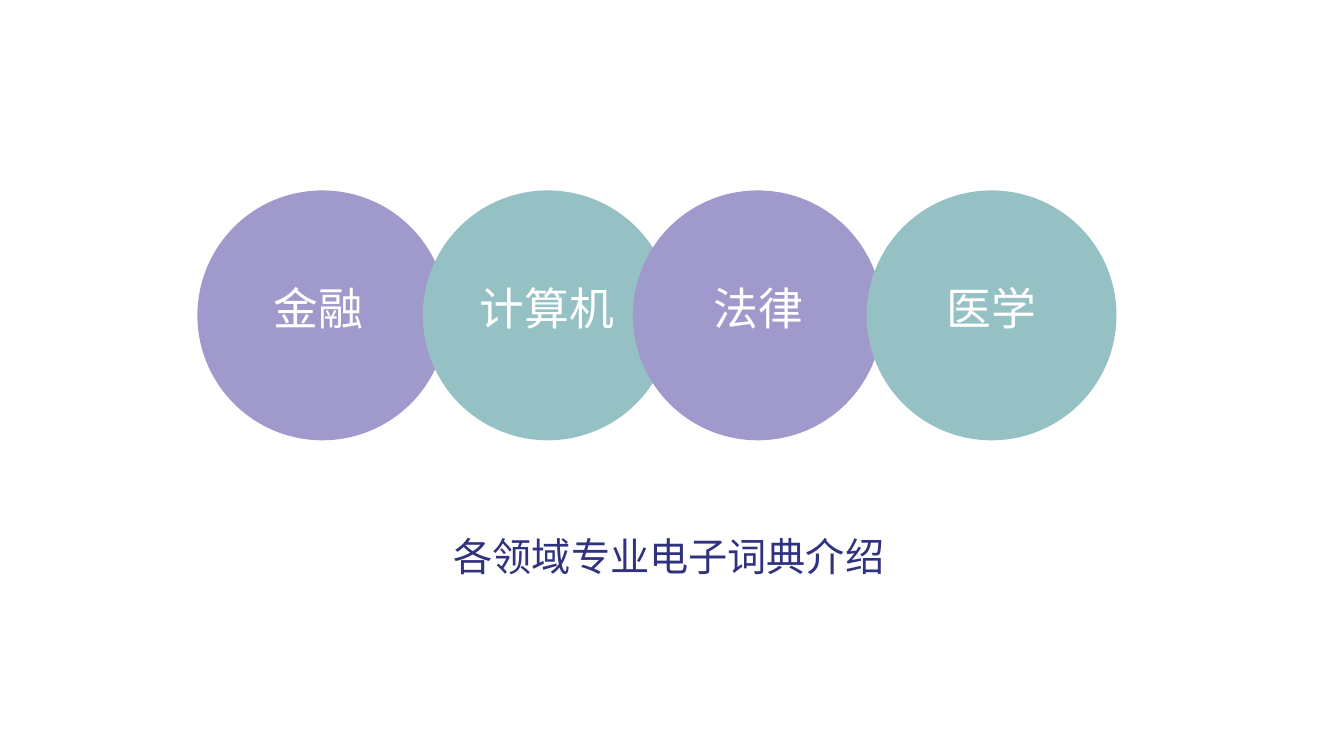
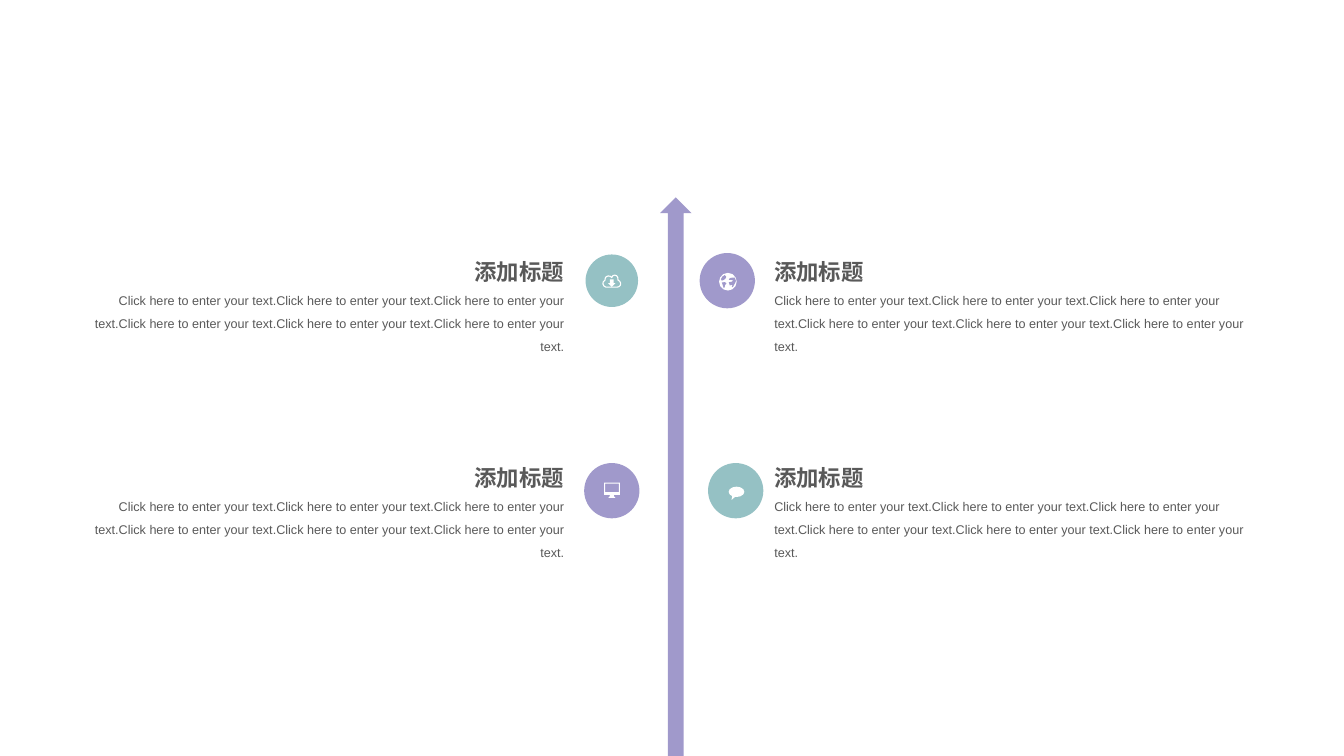
import dataclasses

import lxml.etree
import pptx
import pptx.dml.color
import pptx.enum.shapes
import pptx.enum.text
import pptx.oxml.ns
import pptx.util

Pt = pptx.util.Pt
SHAPE = pptx.enum.shapes.MSO_SHAPE
ALIGN = pptx.enum.text.PP_ALIGN


@dataclasses.dataclass(frozen=True)
class Theme:
    purple: str = "A099CB"
    teal: str = "95C1C4"
    navy: str = "31327F"
    gray: str = "595959"
    white: str = "FFFFFF"
    cjk: str = "Noto Sans CJK SC"
    heading_font: str = "Calibri"
    body_font: str = "Arial"
    label_size: float = 32
    caption_size: float = 28
    heading_size: float = 16
    body_size: float = 9


class Deck:
    def __init__(self, theme):
        self.t = theme
        self.prs = pptx.Presentation()
        self.prs.slide_width = Pt(960)
        self.prs.slide_height = Pt(540)
        self.s = None

    def slide(self):
        self.s = self.prs.slides.add_slide(self.prs.slide_layouts[6])

    def paint(self, sp, fill, line=None):
        sp.shadow.inherit = False
        if fill:
            sp.fill.solid()
            sp.fill.fore_color.rgb = pptx.dml.color.RGBColor.from_string(fill)
        else:
            sp.fill.background()
        if line:
            sp.line.color.rgb = pptx.dml.color.RGBColor.from_string(line)
            sp.line.width = Pt(0.8)
        else:
            sp.line.fill.background()

    def shape(self, kind, x, y, w, h, fill):
        sp = self.s.shapes.add_shape(kind, Pt(x), Pt(y), Pt(w), Pt(h))
        self.paint(sp, fill)
        return sp

    def disc(self, cx, cy, d, fill):
        self.shape(SHAPE.OVAL, cx - d / 2, cy - d / 2, d, d, fill)

    def outline(self, cx, cy, contours, fill, line=None):
        fb = None
        for contour in contours:
            points = [(x * 100, y * 100) for x, y in contour]
            if fb is None:
                fb = self.s.shapes.build_freeform(*points[0], scale=Pt(1) / 100)
            else:
                fb.move_to(*points[0])
            fb.add_line_segments(points[1:], close=True)
        self.paint(fb.convert_to_shape(Pt(cx), Pt(cy)), fill, line)

    def text(self, words, x, y, w, h, size, color, font, align=ALIGN.LEFT,
             bold=False, wrap=True, spacing=None):
        tf = self.s.shapes.add_textbox(Pt(x), Pt(y), Pt(w), Pt(h)).text_frame
        tf.word_wrap = wrap
        tf.auto_size = pptx.enum.text.MSO_AUTO_SIZE.SHAPE_TO_FIT_TEXT
        p = tf.paragraphs[0]
        p.text = words
        p.alignment = align
        if spacing:
            p.line_spacing = spacing
        p.font.size = Pt(size)
        p.font.bold = bold
        p.font.name = font
        p.font.color.rgb = pptx.dml.color.RGBColor.from_string(color)
        qn = pptx.oxml.ns.qn
        props = p._p.find(qn("a:pPr")).find(qn("a:defRPr"))
        lxml.etree.SubElement(props, qn("a:ea")).set("typeface", self.t.cjk)

    def entry(self, x, y, align):
        t = self.t
        width, heading_width = 357, 80
        heading_x = x + width - heading_width if align == ALIGN.RIGHT else x
        self.text("添加标题", heading_x, y, heading_width, 26.5, t.heading_size,
                  t.gray, t.heading_font, align, bold=True, wrap=False)
        self.text("Click here to enter your text." * 6, x, y + 19.5, width, 56,
                  t.body_size, t.gray, t.body_font, align, spacing=1.5)

    def cloud_icon(self, cx, cy):
        cloud = [(-6.3, 2.3), (-6.1, 0.9), (-4.8, -0.4), (-4.6, -1.8),
                 (-3.9, -2.9), (-2.5, -3.4), (-1, -3.1), (0, -2.2),
                 (0.6, -3.4), (2, -4), (3.4, -3.6), (4.3, -2.4),
                 (4.5, -0.4), (5.8, 0.5), (6.4, 2), (6.1, 3.4),
                 (5.1, 4.3), (3.8, 4.6), (-4.2, 4.6), (-5.6, 3.8)]
        self.outline(cx, cy, [cloud], None, self.t.white)
        self.shape(SHAPE.DOWN_ARROW, cx - 2.6, cy - 1, 5.2, 5.4, self.t.white)

    def globe_icon(self, cx, cy):
        cx, cy = cx + 0.4, cy + 0.7
        lands = [
            [(-4.9, -1.8), (-3.9, -3.6), (-2.2, -4.7), (-1.2, -3.6),
             (-1.4, -2.5), (-2.9, -1.2), (-4.3, -0.7)],
            [(-4.3, 0.5), (-2, 0.4), (-1, 1.2), (-2, 2.5), (-2.3, 4),
             (-2.9, 4.7), (-3.6, 2.5)],
            [(0.7, 0.4), (3, 0), (3.8, -1), (2.5, -1.2), (0.7, -1.2),
             (1.4, -2.5), (3.5, -2.9), (5, -2.9), (5.8, -0.4), (5.4, 0.5),
             (3.6, 4), (2.9, 3.6), (3.4, 2.2), (1.4, 2.7)],
        ]
        self.disc(cx, cy, 12.6, self.t.white)
        self.outline(cx, cy, lands, self.t.purple)

    def monitor_icon(self, cx, cy):
        frame = [(-5.5, -5.7), (5.7, -5.7), (5.7, 2.9), (-5.5, 2.9)]
        screen = [(-4.8, -5), (-4.8, 1), (5, 1), (5, -5)]
        stand = [(-1.3, 2.9), (1.5, 2.9), (1.7, 4.2), (2.6, 5.1),
                 (-2.4, 5.1), (-1.5, 4.2)]
        self.outline(cx, cy, [frame, screen], self.t.white)
        self.outline(cx, cy, [stand], self.t.white)

    def speech_icon(self, cx, cy):
        sp = self.shape(SHAPE.OVAL_CALLOUT, cx - 5, cy - 2.9, 11.2, 7.4,
                        self.t.white)
        sp.adjustments[0], sp.adjustments[1] = -0.32, 0.79


def fields_slide(deck):
    t = deck.t
    deck.slide()
    fields = [("金融", 141, 159), ("计算机", 302, 322),
              ("法律", 452, 473), ("医学", 619, 639.5)]
    for i, (name, x, label_x) in enumerate(fields):
        deck.shape(SHAPE.OVAL, x, 136, 178.5, 178.5, (t.purple, t.teal)[i % 2])
        deck.text(name, label_x, 197, 137.5, 46, t.label_size, t.white, t.cjk,
                  ALIGN.CENTER)
    deck.text("各领域专业电子词典介绍", 121, 377, 713.5, 41, t.caption_size,
              t.navy, t.cjk, ALIGN.CENTER)


def timeline_slide(deck):
    t = deck.t
    deck.slide()
    deck.shape(SHAPE.UP_ARROW, 471.5, 141, 22.5, 399, t.purple)
    for y in (181, 328):
        deck.entry(546, y, ALIGN.LEFT)
        deck.entry(53, y, ALIGN.RIGHT)
    badges = [(437, 200.5, 37.5, t.teal, deck.cloud_icon),
              (519.5, 200.5, 39.5, t.purple, deck.globe_icon),
              (437, 350.5, 39.5, t.purple, deck.monitor_icon),
              (525.5, 350.5, 39.5, t.teal, deck.speech_icon)]
    for cx, cy, d, fill, icon in badges:
        deck.disc(cx, cy, d, fill)
        icon(cx, cy)


def main():
    deck = Deck(Theme())
    fields_slide(deck)
    timeline_slide(deck)
    deck.prs.save("out.pptx")


if __name__ == "__main__":
    main()
